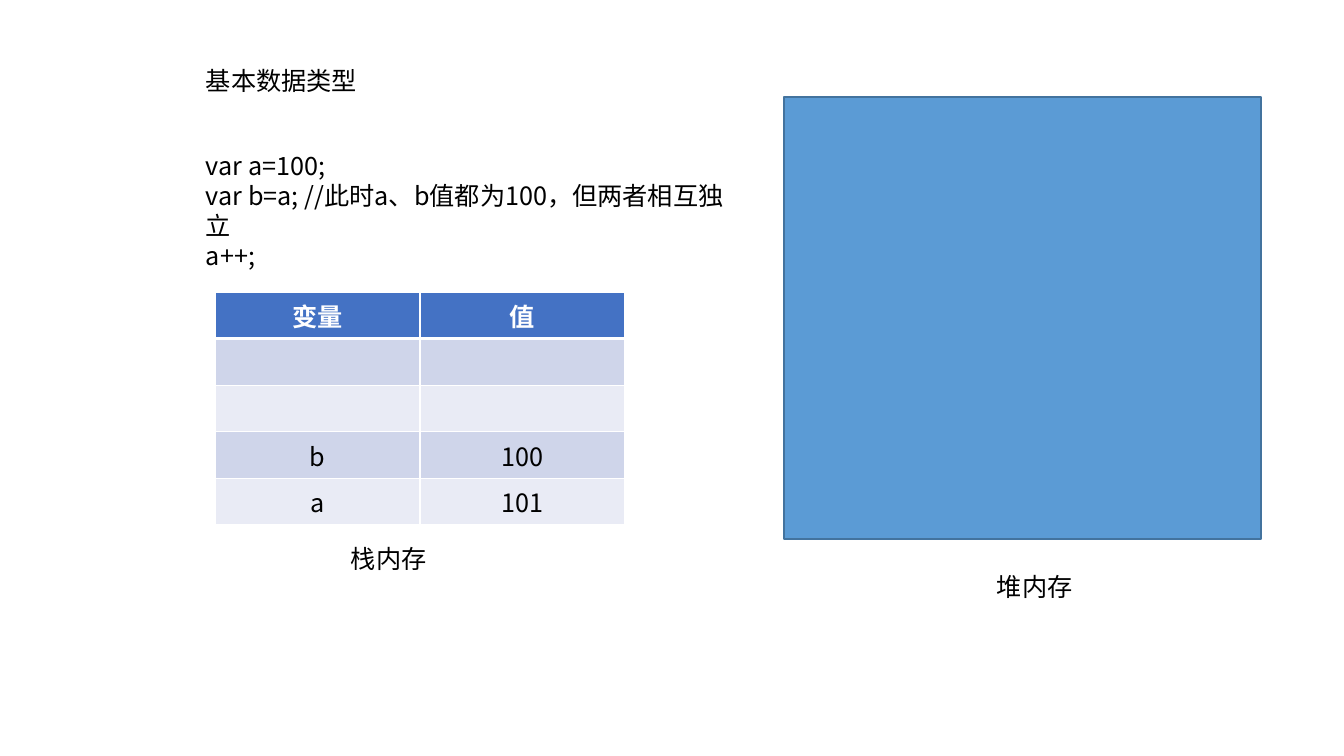
import dataclasses
import typing

import lxml.etree
import pptx
import pptx.dml.color
import pptx.enum.shapes
import pptx.enum.text
import pptx.oxml.ns
import pptx.util

PIXEL = 914400 / 100.8
FONT = "Noto Sans CJK SC"
COLORS = {
    "text": "000000",
    "white": "FFFFFF",
    "header": "4472C4",
    "odd_row": "CFD5EA",
    "even_row": "E9EBF5",
    "heap": "5B9BD5",
    "heap_line": "43739E",
}


@dataclasses.dataclass
class Label:
    left: int
    top: int
    width: int
    height: int
    lines: list[str]


LABELS = [
    Label(196, 145, 560, 102, ["var a=100;", "var b=a; //此时a、b值都为100，但两者相互独立", "a++;"]),
    Label(341, 538, 97, 40, ["栈内存"]),
    Label(987, 566, 97, 40, ["堆内存"]),
    Label(196, 60, 173, 40, ["基本数据类型"]),
]
STACK_ROWS = [("变量", "值"), ("", ""), ("", ""), ("b", "100"), ("a", "101")]


def emu(pixels: float) -> pptx.util.Emu:
    return pptx.util.Emu(round(pixels * PIXEL))


def rgb(name: str) -> pptx.dml.color.RGBColor:
    return pptx.dml.color.RGBColor.from_string(COLORS[name])


def style_paragraph(paragraph: typing.Any, color: str, bold: bool = False) -> None:
    paragraph.font.name = FONT
    paragraph.font.size = pptx.util.Pt(18)
    paragraph.font.bold = bold
    paragraph.font.color.rgb = rgb(color)
    properties = paragraph._p.pPr.find(pptx.oxml.ns.qn("a:defRPr"))
    lxml.etree.SubElement(properties, pptx.oxml.ns.qn("a:ea"), typeface=FONT)


def add_label(slide: typing.Any, label: Label) -> None:
    box = slide.shapes.add_textbox(*map(emu, (label.left, label.top, label.width, label.height)))
    frame = box.text_frame
    frame.word_wrap = True
    frame.auto_size = pptx.enum.text.MSO_AUTO_SIZE.SHAPE_TO_FIT_TEXT
    frame.text = "\n".join(label.lines)
    for paragraph in frame.paragraphs:
        paragraph.line_spacing = pptx.util.Pt(21.6)
        style_paragraph(paragraph, "text")


def set_borders(cell: typing.Any, widths: dict[str, int]) -> None:
    properties = cell._tc.get_or_add_tcPr()
    for index, (side, points) in enumerate(widths.items()):
        line = lxml.etree.Element(pptx.oxml.ns.qn(f"a:ln{side}"), w=str(pptx.util.Pt(points)))
        fill = lxml.etree.SubElement(line, pptx.oxml.ns.qn("a:solidFill"))
        lxml.etree.SubElement(fill, pptx.oxml.ns.qn("a:srgbClr"), val=COLORS["white"])
        properties.insert(index, line)


def add_stack_table(slide: typing.Any) -> None:
    row_height, column_width = 46, 205
    frame = slide.shapes.add_table(
        len(STACK_ROWS), 2, emu(215), emu(292), emu(2 * column_width), emu(len(STACK_ROWS) * row_height)
    )
    for row_index, values in enumerate(STACK_ROWS):
        is_header = row_index == 0
        band = "header" if is_header else "odd_row" if row_index % 2 else "even_row"
        for column_index, value in enumerate(values):
            cell = frame.table.cell(row_index, column_index)
            cell.fill.solid()
            cell.fill.fore_color.rgb = rgb(band)
            set_borders(cell, {
                "L": 1, "R": 1, "T": 3 if row_index == 1 else 1, "B": 3 if is_header else 1,
            })
            cell.text = value
            paragraph = cell.text_frame.paragraphs[0]
            paragraph.alignment = pptx.enum.text.PP_ALIGN.CENTER
            style_paragraph(paragraph, "white" if is_header else "text", is_header)


def add_heap(slide: typing.Any) -> None:
    heap = slide.shapes.add_shape(
        pptx.enum.shapes.MSO_SHAPE.RECTANGLE, emu(784), emu(97), emu(477), emu(442)
    )
    heap.shadow.inherit = False
    heap.fill.solid()
    heap.fill.fore_color.rgb = rgb("heap")
    heap.line.color.rgb = rgb("heap_line")
    heap.line.width = pptx.util.Pt(1)


presentation = pptx.Presentation()
presentation.slide_width = emu(1344)
presentation.slide_height = emu(756)
slide = presentation.slides.add_slide(presentation.slide_layouts[6])
add_stack_table(slide)
add_heap(slide)
for label in LABELS:
    add_label(slide, label)
presentation.save("out.pptx")
